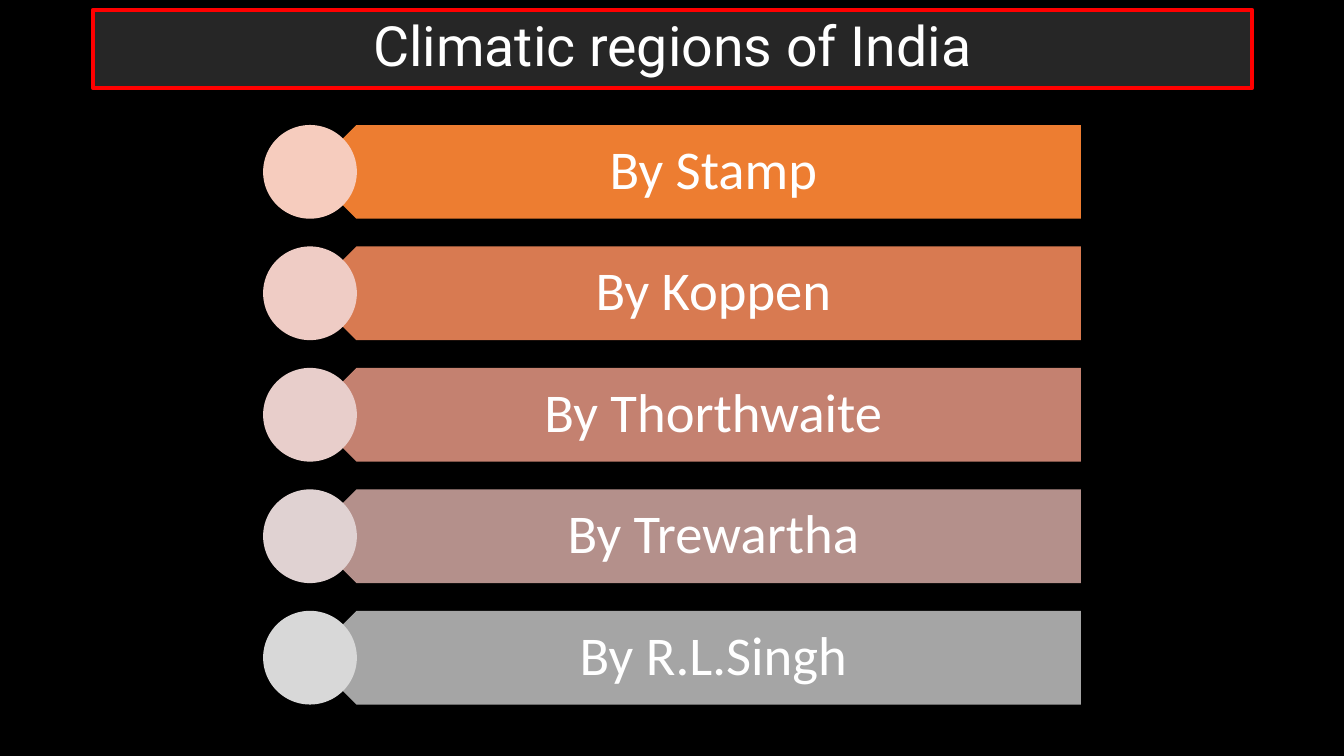
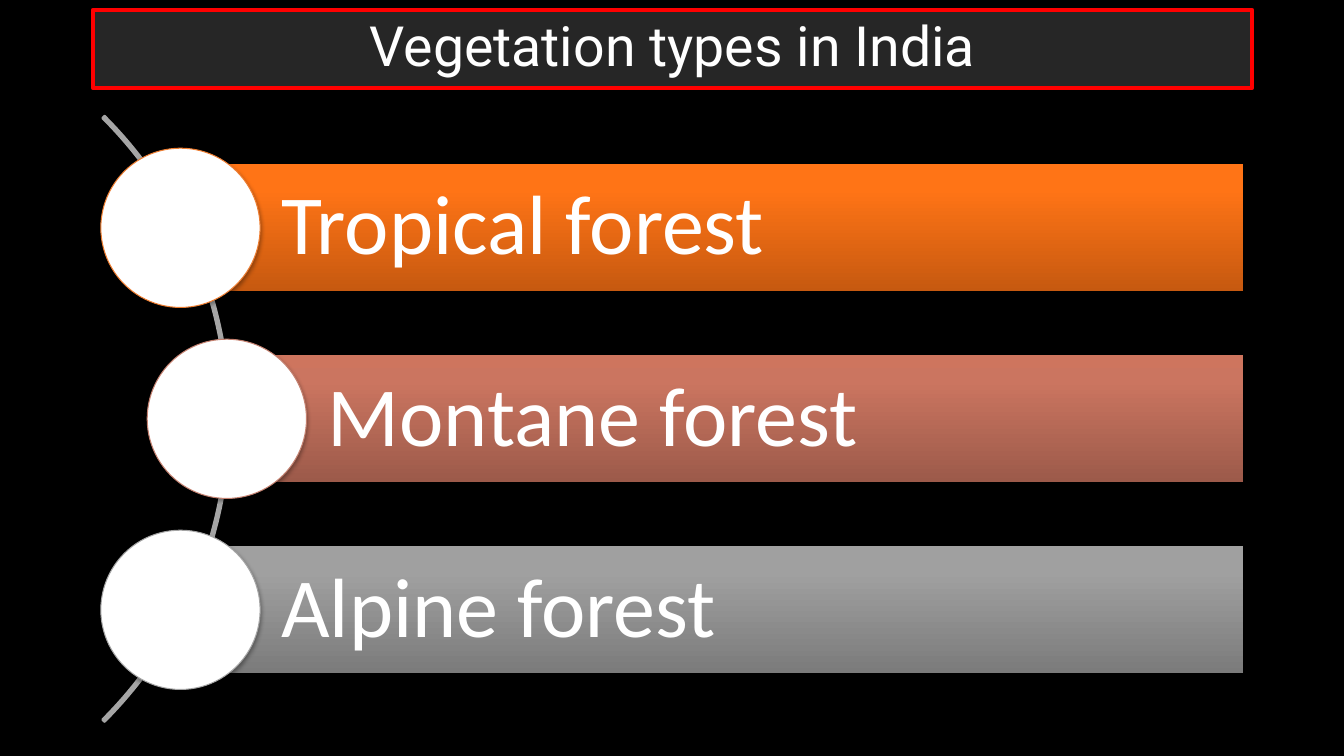
import pptx
import pptx.util
import pptx.dml.color
import pptx.enum.shapes
import pptx.enum.text
import pptx.oxml
import pptx.oxml.ns

SHAPE = pptx.enum.shapes.MSO_SHAPE
ALIGN = pptx.enum.text.PP_ALIGN
NS = pptx.oxml.ns.nsdecls("a")
EMU_PER_PX = 9144

WHITE, BLACK, PANEL, RED, GREY = "FFFFFF", "000000", "262626", "FF0000", "A5A5A5"

REGIONS_TITLE = "Climatic regions of India"
REGIONS = [
    ("By Stamp", "ED7D31", "F6CCBE"),
    ("By Koppen", "D87A51", "EFCCC5"),
    ("By Thorthwaite", "C48170", "E8CECB"),
    ("By Trewartha", "B4908B", "E0D2D2"),
    ("By R.L.Singh", "A5A5A5", "D8D8D8"),
]
FORESTS_TITLE = "Vegetation types in India"
FORESTS = [
    ("Tropical forest", 100, "ED7D31", ("C65910", "FF7416", "FF7517")),
    ("Montane forest", 146, "C48170", ("9C5A4A", "CB7560", "CE755E")),
    ("Alpine forest", 100, "A5A5A5", ("7B7B7B", "A0A0A0", "A1A1A1")),
]
GRADIENT_STOPS = (0, 80, 100)


def px(n):
    return pptx.util.Emu(round(n * EMU_PER_PX))


def rgb(value):
    return pptx.dml.color.RGBColor.from_string(value)


def paint(sp, fill=None, line=None, width=0):
    if fill:
        sp.fill.solid()
        sp.fill.fore_color.rgb = rgb(fill)
    else:
        sp.fill.background()
    if line:
        sp.line.color.rgb = rgb(line)
        sp.line.width = pptx.util.Pt(width)
    else:
        sp.line.fill.background()


def add_shape(s, kind, box, fill=None, line=None, width=0):
    sp = s.shapes.add_shape(kind, *map(px, box))
    sp.shadow.inherit = False
    paint(sp, fill, line, width)
    return sp


def write(sp, text, font, size, align, insets=(10, 5, 10, 5)):
    tf = sp.text_frame
    tf.word_wrap = True
    tf.auto_size = pptx.enum.text.MSO_AUTO_SIZE.NONE
    tf.vertical_anchor = pptx.enum.text.MSO_ANCHOR.MIDDLE
    tf.margin_left, tf.margin_top, tf.margin_right, tf.margin_bottom = map(px, insets)
    p = tf.paragraphs[0]
    p.text = text
    p.alignment = align
    p.line_spacing = 0.9
    p.font.name = font
    p.font.size = pptx.util.Pt(size)
    p.font.color.rgb = rgb(WHITE)


def add_gradient(sp, colors):
    stops = "".join(
        f'<a:gs pos="{pos * 1000}"><a:srgbClr val="{color}"/></a:gs>'
        for pos, color in zip(GRADIENT_STOPS, colors))
    spPr = sp._element.spPr
    no_fill = spPr.find(pptx.oxml.ns.qn("a:noFill"))
    spPr.replace(no_fill, pptx.oxml.parse_xml(
        f'<a:gradFill {NS} rotWithShape="1"><a:gsLst>{stops}</a:gsLst>'
        '<a:lin ang="16200000" scaled="0"/></a:gradFill>'))


def add_shadow(sp):
    effects = sp._element.spPr.find(pptx.oxml.ns.qn("a:effectLst"))
    effects.append(pptx.oxml.parse_xml(
        f'<a:outerShdw {NS} blurRad="40000" dist="23000" dir="5400000" rotWithShape="0">'
        f'<a:srgbClr val="{BLACK}"><a:alpha val="35000"/></a:srgbClr></a:outerShdw>'))


def add_slide(prs, title):
    s = prs.slides.add_slide(prs.slide_layouts[5])
    sp = s.shapes.title
    sp.left, sp.top, sp.width, sp.height = map(px, (92, 10, 1150, 77))
    sp._element.spPr.insert(1, pptx.oxml.parse_xml(
        f'<a:prstGeom {NS} prst="roundRect"><a:avLst/></a:prstGeom>'))
    paint(sp, PANEL, RED, 3)
    write(sp, title, "Roboto", 39.6, ALIGN.CENTER)
    return s


def build_regions(prs):
    s = add_slide(prs, REGIONS_TITLE)
    size, top, pitch = 93, 124, 120.5
    for i, (label, bar_color, circle_color) in enumerate(REGIONS):
        y = top + i * pitch
        bar = add_shape(s, SHAPE.PENTAGON, (307, y, 765, size), bar_color)
        bar.rotation = 180
        tb = s.shapes.add_textbox(*map(px, (331, y, 742, size)))
        write(tb, label, "Calibri", 39, ALIGN.CENTER, (41, 16, 30, 16))
        add_shape(s, SHAPE.OVAL, (261, y, size, size), circle_color)


def build_forests(prs):
    s = add_slide(prs, FORESTS_TITLE)
    arc = add_shape(s, SHAPE.BLOCK_ARC, (-621, -9, 849, 849), line=GREY, width=2)
    for i, value in enumerate((189, 27, 0.003)):
        arc.adjustments[i] = value
    size, height, top, pitch, right = 158, 126, 147, 189.5, 1233
    for i, (label, x, edge, colors) in enumerate(FORESTS):
        y = top + i * pitch
        bar_x = x + size / 2
        bar = add_shape(s, SHAPE.RECTANGLE,
                        (bar_x, y + (size - height) / 2, right - bar_x, height))
        add_gradient(bar, colors)
        write(bar, label, "Calibri", 60, ALIGN.LEFT, (100, 17, 17, 17))
        circle = add_shape(s, SHAPE.OVAL, (x, y, size, size), WHITE, edge, 0.75)
        for sp in (bar, circle):
            add_shadow(sp)


def main():
    prs = pptx.Presentation()
    prs.slide_width, prs.slide_height = px(1333), px(750)
    background = prs.slide_master.background.fill
    background.solid()
    background.fore_color.rgb = rgb(BLACK)
    build_regions(prs)
    build_forests(prs)
    prs.save("out.pptx")


if __name__ == "__main__":
    main()
